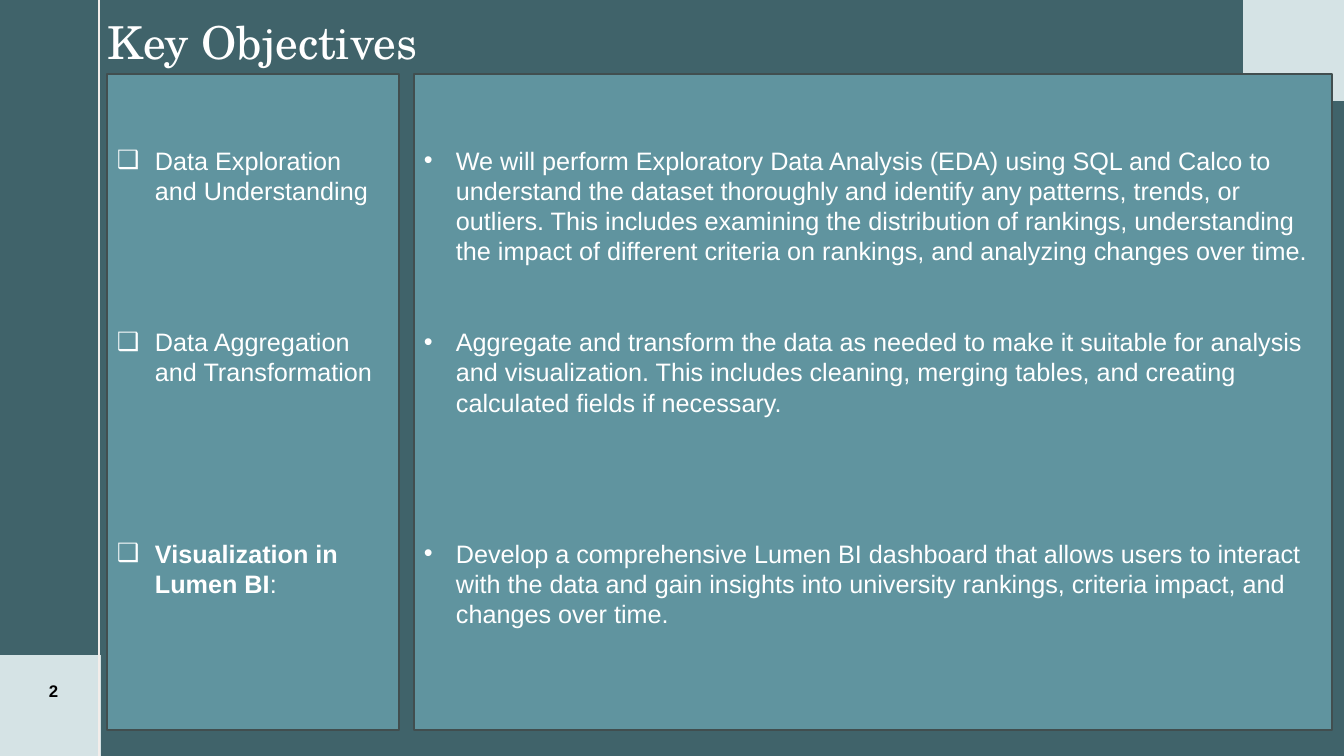
"""Build the Key Objectives slide with its two text panels."""
from dataclasses import dataclass

from lxml.etree import SubElement
from pptx import Presentation
from pptx.dml.color import RGBColor
from pptx.enum.shapes import MSO_CONNECTOR as Connector, MSO_SHAPE as Shape
from pptx.enum.text import MSO_ANCHOR as Anchor, PP_ALIGN as Align
from pptx.oxml.ns import qn
from pptx.util import Emu, Pt


@dataclass(frozen=True)
class Theme:
    ground: RGBColor = RGBColor.from_string("40636A")
    pale: RGBColor = RGBColor.from_string("D5E3E5")
    rule: RGBColor = RGBColor.from_string("F3EDEA")
    panel: RGBColor = RGBColor.from_string("60949F")
    border: RGBColor = RGBColor.from_string("414E4F")
    light: RGBColor = RGBColor.from_string("FFFFFF")
    dark: RGBColor = RGBColor.from_string("000000")
    title_font: str = "TeX Gyre Schola"
    body_font: str = "Arial"
    title_size: float = 32.4
    body_size: float = 18
    number_size: float = 12
    line_pitch: float = 21.6


theme = Theme()


def px(*lengths):
    """Turn pixel lengths into EMU."""
    return [Emu(round(length * 914400 / 100.8)) for length in lengths]


def style(span, font, size, color, bold=False):
    """Set the font of one run."""
    span.font.name, span.font.size, span.font.bold = font, Pt(size), bold
    span.font.color.rgb = color


deck = Presentation()
deck.slide_width, deck.slide_height = px(1344, 756)
page = deck.slides.add_slide(deck.slide_layouts[6])
page.background.fill.solid()
page.background.fill.fore_color.rgb = theme.ground

for left, top in [(0, 655), (1243, 0)]:
    corner = page.shapes.add_shape(Shape.RECTANGLE, *px(left, top, 101, 101))
    corner.shadow.inherit = False
    corner.fill.solid()
    corner.fill.fore_color.rgb = theme.pale
    corner.line.fill.background()

rule = page.shapes.add_connector(Connector.STRAIGHT, *px(99, 0, 99, 756))
rule.line.color.rgb = theme.rule
rule.line.width = Pt(1.5)
SubElement(rule._element.spPr, qn("a:effectLst"))

title = page.shapes.add_textbox(*px(96, 0, 333, 74))
number = page.shapes.add_textbox(*px(0, 655, 107, 72))
for box, text, anchor in [(title, "Key Objectives", Anchor.BOTTOM), (number, "2", Anchor.MIDDLE)]:
    frame = box.text_frame
    frame.word_wrap = True
    frame.margin_left = frame.margin_right = 0
    frame.vertical_anchor = anchor
    frame.text = text
    frame.paragraphs[0].alignment = Align.CENTER

heading = title.text_frame.paragraphs[0]
heading.line_spacing = 0.9
style(heading.runs[0], theme.title_font, theme.title_size, theme.light)
digit = number.text_frame.paragraphs[0].runs[0]
style(digit, theme.body_font, theme.number_size, theme.dark, bold=True)
digit._r.get_or_add_rPr().set("spc", "150")

# Each item holds the empty lines above it and its runs as (text, bold).
goals = [
    (0, [("Data Exploration and Understanding", False)]),
    (4, [("Data Aggregation and Transformation", False)]),
    (5, [("Visualization in Lumen BI", True), (":", False)]),
]
details = [
    (0, [("We will perform Exploratory Data Analysis (EDA) using SQL and Calco to "
          "understand the dataset thoroughly and identify any patterns, trends, or "
          "outliers. This includes examining the distribution of rankings, understanding "
          "the impact of different criteria on rankings, and analyzing changes over time.", False)]),
    (2, [("Aggregate and transform the data as needed to make it suitable for analysis "
          "and visualization. This includes cleaning, merging tables, and creating "
          "calculated fields if necessary.", False)]),
    (4, [("Develop a comprehensive Lumen BI dashboard that allows users to interact "
          "with the data and gain insights into university rankings, criteria impact, and "
          "changes over time.", False)]),
]

for left, width, bullet, indent, items in [(107, 292, "❑", 38, goals), (414, 918, "•", 32, details)]:
    panel = page.shapes.add_shape(Shape.RECTANGLE, *px(left, 74, width, 656))
    panel.shadow.inherit = False
    panel.fill.solid()
    panel.fill.fore_color.rgb = theme.panel
    panel.line.color.rgb = theme.border
    panel.line.width = Pt(1)
    frame = panel.text_frame
    frame.word_wrap = True
    frame.vertical_anchor = Anchor.TOP
    frame.margin_left, frame.margin_top, frame.margin_right = px(10, 71, 10)
    for index, (gap, spans) in enumerate(items):
        para = frame.add_paragraph() if index else frame.paragraphs[0]
        para.alignment = Align.LEFT
        para.line_spacing = Pt(theme.line_pitch)
        para.space_before = Pt(gap * theme.line_pitch)
        props = para._p.get_or_add_pPr()
        hang = px(indent)[0]
        props.set("marL", str(hang))
        props.set("indent", str(-hang))
        SubElement(props, qn("a:buFont"), typeface=theme.body_font)
        SubElement(props, qn("a:buChar"), char=bullet)
        for text, bold in spans:
            span = para.add_run()
            span.text = text
            style(span, theme.body_font, theme.body_size, theme.light, bold)

deck.save("out.pptx")
